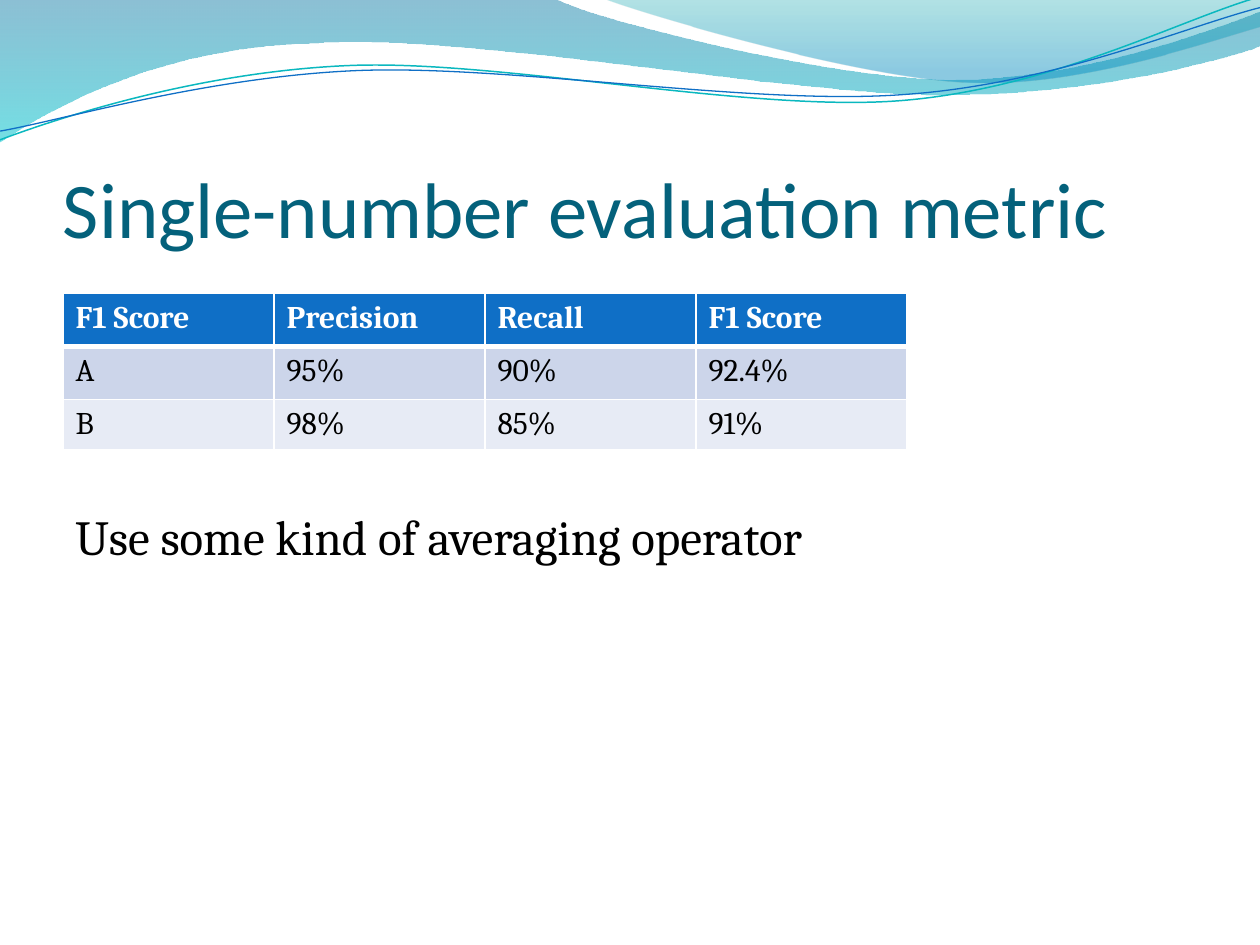
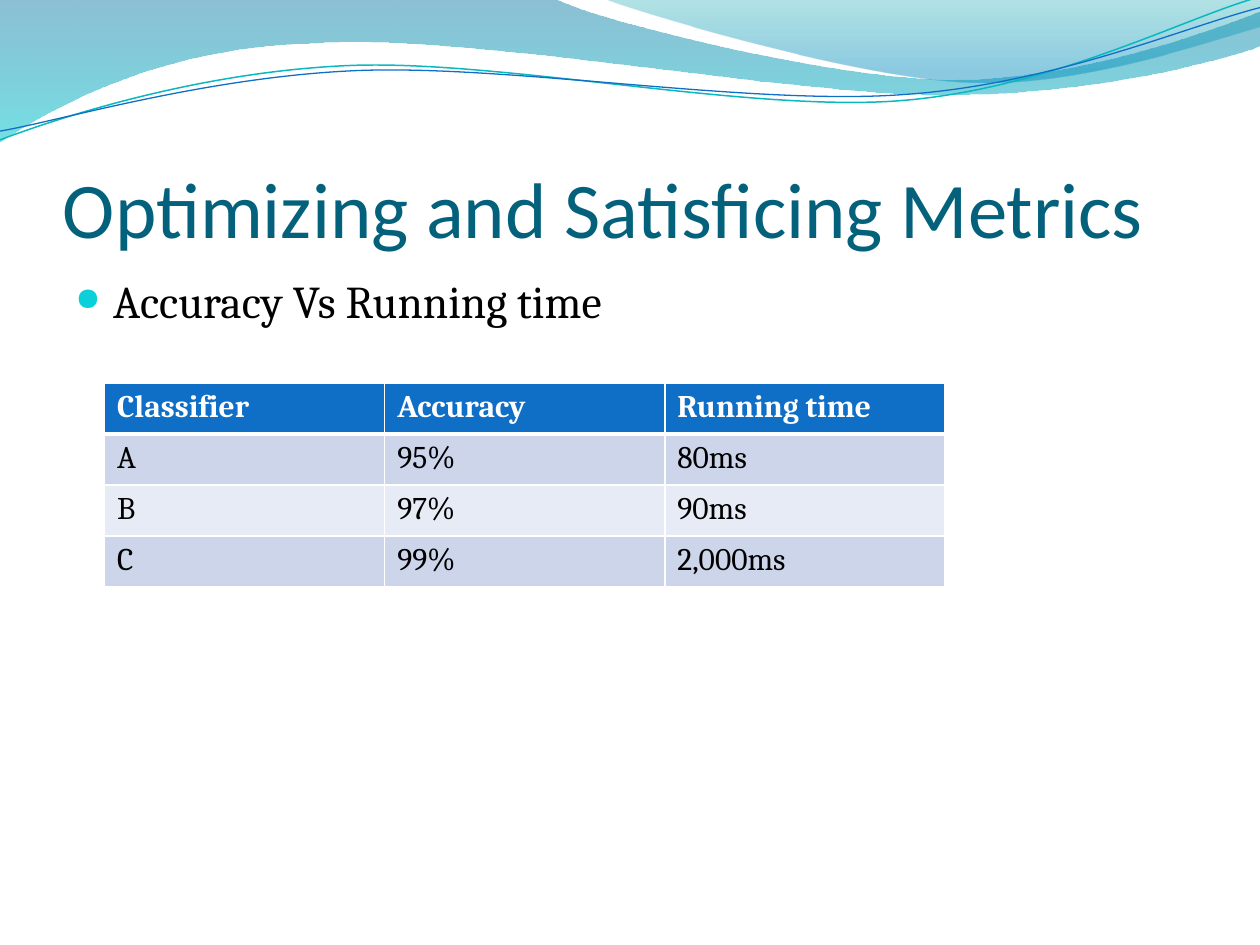
from math import cos, radians, sin
from lxml.etree import SubElement as Sub
from pptx import Presentation
from pptx.dml.color import RGBColor
from pptx.enum.text import MSO_ANCHOR as Anchor, MSO_AUTO_SIZE as Auto
from pptx.oxml.ns import qn
from pptx.util import Pt

PX = 9144  # EMU in one px, 100 px to the inch
TILT = 2.7  # degrees that the thin waves lean to the left

BLUE, TEAL, AQUA = "0F6FC6", "0AB8BF", "0BD0D9"
TITLE, BLACK, WHITE = "04617B", "000000", "FFFFFF"
BANDS = "CCD5EA", "E7EBF5"
HEAD, BODY = "Calibri", "Cambria"

# Each wave: a start point, then lines (x, y) and curves (two handles, end).
WAVE = [(0, 0), (440, -1), (476, 17, 664, 63, 758, 63),
        (853, 63, 958, 26, 1000, 9), (1001, 36),
        (983, 44, 870, 76, 746, 75), (622, 75, 382, 28, 257, 34),
        (129, 36, 46, 83, -1, 113), (0, 0)]
CREST = [(479, -1), (509, 11, 682, 62, 769, 65),
         (856, 69, 961, 32, 1000, 21), (1000, 0), (479, -1)]
UPPER = [(0, 111), (48, 93, 158, 57, 277, 52),
         (395, 47, 593, 89, 713, 80), (833, 71, 938, 15, 998, -2)]
LOWER = [(0, 104), (47, 96, 164, 61, 283, 56),
         (403, 51, 597, 84, 717, 75), (836, 67, 941, 21, 1000, 6)]


def px(*nums):
    return [round(n * PX) for n in nums]


def rgb(code):
    return RGBColor.from_string(code)


def pairs(part):
    return list(zip(part[::2], part[1::2]))


def level(parts, mid):
    """Turn a leaning wave upright about its middle."""
    c, s = cos(radians(TILT)), sin(radians(TILT))
    mx, my = mid
    return [[n for x, y in pairs(part)
             for n in (mx + (x - mx) * c - (y - my) * s,
                       my + (x - mx) * s + (y - my) * c)]
            for part in parts]


def bend(shape, parts):
    """Join each run of three segments that makes up a curve."""
    route = next(shape._element.iter(qn("a:path")))
    segs = iter(route.findall(qn("a:lnTo")))
    for part in parts[1:]:
        first = next(segs)
        if len(part) == 2:
            continue
        curve = Sub(route, qn("a:cubicBezTo"))
        first.addprevious(curve)
        for seg in (first, next(segs), next(segs)):
            curve.append(seg[0])
            route.remove(seg)


def outline(slide, parts, close):
    pts = [px(*pt) for part in parts for pt in pairs(part)]
    pen = slide.shapes.build_freeform(*pts[0])
    pen.add_line_segments(pts[1:], close=close)
    shape = pen.convert_to_shape()
    shape.shadow.inherit = False
    bend(shape, parts)
    return shape


def area(slide, parts, stops):
    """Draw a closed wave, faded downwards; stops are (place, colour, opacity)."""
    shape = outline(slide, parts, True)
    shape.line.fill.background()
    shape.fill.gradient()
    shape.fill.gradient_angle = 270
    for stop, (place, code, _) in zip(shape.fill.gradient_stops, stops):
        stop.position = place
        stop.color.rgb = rgb(code)
    tones = list(shape._element.spPr.iter(qn("a:srgbClr")))
    for tone, (_, _, alpha) in zip(tones, stops):
        Sub(tone, qn("a:alpha"), val=str(alpha * 1000))


def stroke(slide, parts, mid, code, width):
    shape = outline(slide, level(parts, mid), False)
    shape.rotation = -TILT
    shape.fill.background()
    shape.line.color.rgb = rgb(code)
    shape.line.width = Pt(width)


def style(para, size, code, face=BODY, bold=False):
    for run in para.runs:
        font = run.font
        font.size, font.name, font.bold = Pt(size), face, bold
        font.color.rgb = rgb(code)


def text(slide, box, words, size, code=BLACK, face=BODY):
    frame = slide.shapes.add_textbox(*px(*box)).text_frame
    frame.word_wrap = True
    frame.text = words
    style(frame.paragraphs[0], size, code, face)
    return frame


def bullet(para):
    props = para._p.get_or_add_pPr()
    indent = 30 * PX
    props.set("marL", str(indent))
    props.set("indent", str(-indent))
    Sub(Sub(props, qn("a:buClr")), qn("a:srgbClr"), val=AQUA)
    Sub(props, qn("a:buSzPct"), val="70000")
    Sub(props, qn("a:buChar"), char="●")


def border(cell, top, bottom):
    props = cell._tc.get_or_add_tcPr()
    for side, width in zip("LRTB", (1, 1, top, bottom)):
        line = Sub(props, qn("a:ln" + side), w=str(Pt(width)))
        Sub(Sub(line, qn("a:solidFill")), qn("a:srgbClr"), val=WHITE)


def grid(slide, box, rows, high=None):
    """Add a table with a blue head row; high sets all rows but the last."""
    frame = slide.shapes.add_table(len(rows), len(rows[0]), *px(*box))
    table = frame.table
    if high:
        *upper, last = table.rows
        for row in upper:
            row.height = high * PX
        last.height = (box[3] - high * len(upper)) * PX
    for r, row in enumerate(rows):
        head = r == 0
        for c, words in enumerate(row):
            cell = table.cell(r, c)
            border(cell, 3 if r == 1 else 1, 3 if head else 1)
            cell.fill.solid()
            cell.fill.fore_color.rgb = rgb(BLUE if head else BANDS[(r - 1) % 2])
            cell.text = words
            style(cell.text_frame.paragraphs[0], 18,
                  WHITE if head else BLACK, bold=head)


def page(deck, title):
    """Add a slide with the waves and its title."""
    slide = deck.slides.add_slide(deck.slide_layouts[6])
    area(slide, WAVE, [(0, "0074A1", 45), (1, "00C6CF", 55)])
    area(slide, CREST, [(0, "00A1A9", 30), (0.8, "008BBF", 45)])
    stroke(slide, UPPER, (499, 57), TEAL, 0.85)
    stroke(slide, LOWER, (499, 59), BLUE, 0.75)
    frame = text(slide, (50, 77, 900, 125), title, 45, TITLE, HEAD)
    frame.vertical_anchor = Anchor.BOTTOM
    frame.margin_left = frame.margin_right = frame.margin_bottom = 0
    return slide


def score(deck):
    slide = page(deck, "Single-number evaluation metric")
    grid(slide, (50, 233, 670, 123), [
        ("F1 Score", "Precision", "Recall", "F1 Score"),
        ("A", "95%", "90%", "92.4%"),
        ("B", "98%", "85%", "91%"),
    ], high=42)
    note = text(slide, (50, 397, 635, 57),
                "Use some kind of averaging operator", 28)
    note.word_wrap = False
    note.auto_size = Auto.SHAPE_TO_FIT_TEXT


def tradeoff(deck):
    slide = page(deck, "Optimizing and Satisficing Metrics")
    body = text(slide, (50, 212, 900, 480), "Accuracy Vs Running time", 26)
    bullet(body.paragraphs[0])
    grid(slide, (83, 304, 667, 162), [
        ("Classifier", "Accuracy", "Running time"),
        ("A", "95%", "80ms"),
        ("B", "97%", "90ms"),
        ("C", "99%", "2,000ms"),
    ])


def main():
    deck = Presentation()
    deck.slide_width, deck.slide_height = px(1000, 750)
    score(deck)
    tradeoff(deck)
    deck.save("out.pptx")


if __name__ == "__main__":
    main()
